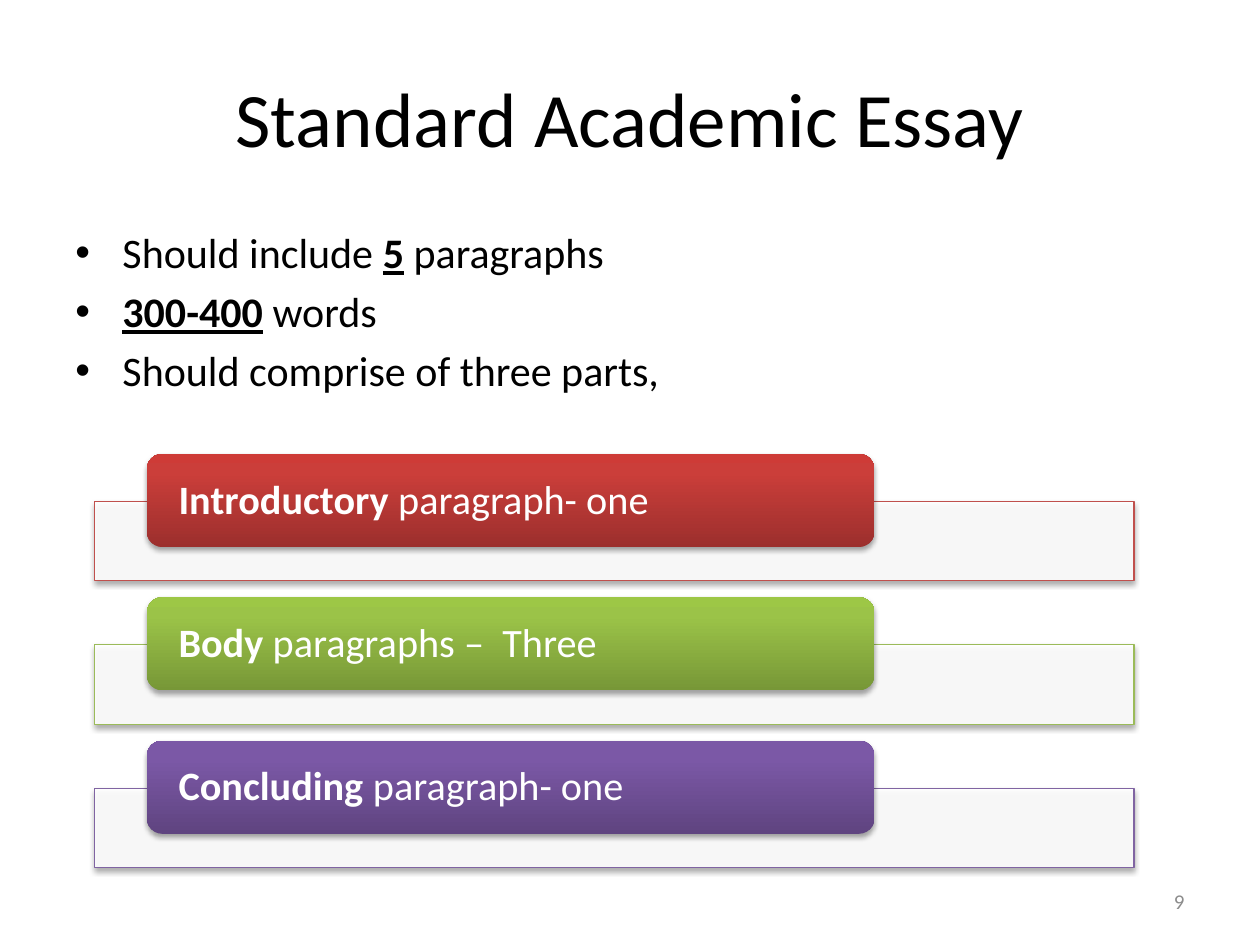
from dataclasses import dataclass

from lxml import etree
from pptx import Presentation
from pptx import util as u
from pptx.dml.color import RGBColor
from pptx.enum import shapes, text
from pptx.oxml import ns

FONT = "Calibri"
BLACK = RGBColor(0x00, 0x00, 0x00)
WHITE = RGBColor(0xFF, 0xFF, 0xFF)
GREY = RGBColor(0x8C, 0x8C, 0x8C)
RED = RGBColor(0xC0, 0x50, 0x4D)
RED_STOPS = (RGBColor(0x9C, 0x2F, 0x2D), RGBColor(0xCB, 0x3E, 0x3A), RGBColor(0xCE, 0x3B, 0x37))
GREEN = RGBColor(0x9B, 0xBB, 0x59)
GREEN_STOPS = (RGBColor(0x77, 0x97, 0x37), RGBColor(0x9B, 0xC3, 0x48), RGBColor(0x9D, 0xC7, 0x46))
PURPLE = RGBColor(0x80, 0x64, 0xA2)
PURPLE_STOPS = (RGBColor(0x5F, 0x44, 0x80), RGBColor(0x7B, 0x58, 0xA6), RGBColor(0x7C, 0x57, 0xA8))

STOP_POSITIONS = (0, 80, 100)
PART_PITCH = 2.89
STRONG = {"bold": True, "underline": True}


@dataclass(frozen=True)
class Box:
    left: float
    top: float
    width: float
    height: float

    def lengths(self, offset: float = 0) -> tuple:
        return u.Cm(self.left), u.Cm(self.top + offset), u.Cm(self.width), u.Cm(self.height)


@dataclass(frozen=True)
class Run:
    wording: str
    format: dict


@dataclass(frozen=True)
class Part:
    runs: tuple
    border: RGBColor
    stops: tuple


TITLE = Box(1.27, 0.76, 22.86, 3.18)
BODY = Box(1.27, 4.45, 22.86, 12.57)
NUMBER = Box(18.21, 17.65, 5.92, 1.02)
PANEL = Box(1.9, 10.11, 20.96, 1.6)
BAR = Box(2.96, 9.15, 14.67, 1.88)
LABEL = Box(3.05, 9.25, 14.48, 1.7)

BULLETS = (
    (Run("Should include ", {}), Run("5", STRONG), Run(" paragraphs", {})),
    (Run("300-400", STRONG), Run(" words", {})),
    (Run("Should comprise of three parts,", {}),),
)
BOLD = {"bold": True}
PARTS = (
    Part((Run("Introductory", BOLD), Run(" paragraph- one", {})), RED, RED_STOPS),
    Part((Run("Body", BOLD), Run(" paragraphs –  Three", {})), GREEN, GREEN_STOPS),
    Part((Run("Concluding ", BOLD), Run("paragraph- one", {})), PURPLE, PURPLE_STOPS),
)


def apply(target, values: dict) -> None:
    for name, value in values.items():
        setattr(target, name, value)


def add_element(parent, tag: str, **attributes: str):
    return etree.SubElement(parent, ns.qn(tag), attributes)


def add_text(container, lengths: tuple, lines: tuple, size: float, color: RGBColor,
             frame_format: dict, paragraph_format: dict) -> list:
    frame = container.add_textbox(*lengths).text_frame
    apply(frame, {"word_wrap": True, **frame_format})
    paragraphs = []
    for index, runs in enumerate(lines):
        paragraph = frame.add_paragraph() if index else frame.paragraphs[0]
        apply(paragraph, paragraph_format)
        for item in runs:
            run = paragraph.add_run()
            run.text = item.wording
            apply(run.font, {"name": FONT, "size": u.Pt(size), **item.format})
            run.font.color.rgb = color
        paragraphs.append(paragraph)
    return paragraphs


def add_bullet(paragraph) -> None:
    properties = paragraph._p.get_or_add_pPr()
    indent = u.Cm(0.95)
    properties.set("marL", str(indent))
    properties.set("indent", str(-indent))
    add_element(properties, "a:buFont", typeface="Arial")
    add_element(properties, "a:buChar", char="•")


def add_shadow(shape) -> None:
    shape.shadow.inherit = False
    effects = shape._element.spPr.find(ns.qn("a:effectLst"))
    shadow = add_element(effects, "a:outerShdw", blurRad=str(u.Pt(3.1)),
                         dist=str(u.Pt(1.8)), dir="5400000", rotWithShape="0")
    tint = add_element(shadow, "a:srgbClr", val=str(BLACK))
    add_element(tint, "a:alpha", val="35000")


def add_panel(container, lengths: tuple, border: RGBColor) -> None:
    shape = container.add_shape(shapes.MSO_SHAPE.RECTANGLE, *lengths)
    shape.fill.solid()
    shape.fill.fore_color.rgb = WHITE
    tint = shape._element.spPr.find(ns.qn("a:solidFill")).find(ns.qn("a:srgbClr"))
    add_element(tint, "a:alpha", val="90000")
    shape.line.color.rgb = border
    shape.line.width = u.Pt(0.75)
    add_shadow(shape)


def add_bar(container, lengths: tuple, colors: tuple) -> None:
    shape = container.add_shape(shapes.MSO_SHAPE.ROUNDED_RECTANGLE, *lengths)
    shape.fill.gradient()
    shape.fill.gradient_angle = 90
    stops = shape._element.spPr.find(ns.qn("a:gradFill")).find(ns.qn("a:gsLst"))
    for stop in list(stops):
        stops.remove(stop)
    for position, color in zip(STOP_POSITIONS, colors):
        stop = add_element(stops, "a:gs", pos=str(position * 1000))
        add_element(stop, "a:srgbClr", val=str(color))
    shape.line.fill.background()
    add_shadow(shape)


def add_part(container, part: Part, offset: float) -> None:
    add_panel(container, PANEL.lengths(offset), part.border)
    add_bar(container, BAR.lengths(offset), part.stops)
    frame_format = {
        "vertical_anchor": text.MSO_ANCHOR.MIDDLE,
        "margin_left": u.Cm(0.55), "margin_right": u.Cm(0.55),
        "margin_top": 0, "margin_bottom": 0,
    }
    add_text(container, LABEL.lengths(offset), (part.runs,), 23, WHITE,
             frame_format, {"line_spacing": 0.9})


def main() -> None:
    presentation = Presentation()
    presentation.slide_width = u.Cm(25.4)
    presentation.slide_height = u.Cm(19.05)
    slide = presentation.slides.add_slide(presentation.slide_layouts[6])
    middle = {"vertical_anchor": text.MSO_ANCHOR.MIDDLE}

    add_text(slide.shapes, TITLE.lengths(), ((Run("Standard Academic Essay", {}),),),
             44, BLACK, middle, {"alignment": text.PP_ALIGN.CENTER})
    for paragraph in add_text(slide.shapes, BODY.lengths(), BULLETS, 24, BLACK,
                              {}, {"space_before": u.Pt(4.8)}):
        add_bullet(paragraph)

    group = slide.shapes.add_group_shape()
    for index, part in enumerate(PARTS):
        add_part(group.shapes, part, index * PART_PITCH)

    add_text(slide.shapes, NUMBER.lengths(), ((Run("9", {}),),), 12, GREY,
             middle, {"alignment": text.PP_ALIGN.RIGHT})
    presentation.save("out.pptx")


if __name__ == "__main__":
    main()
